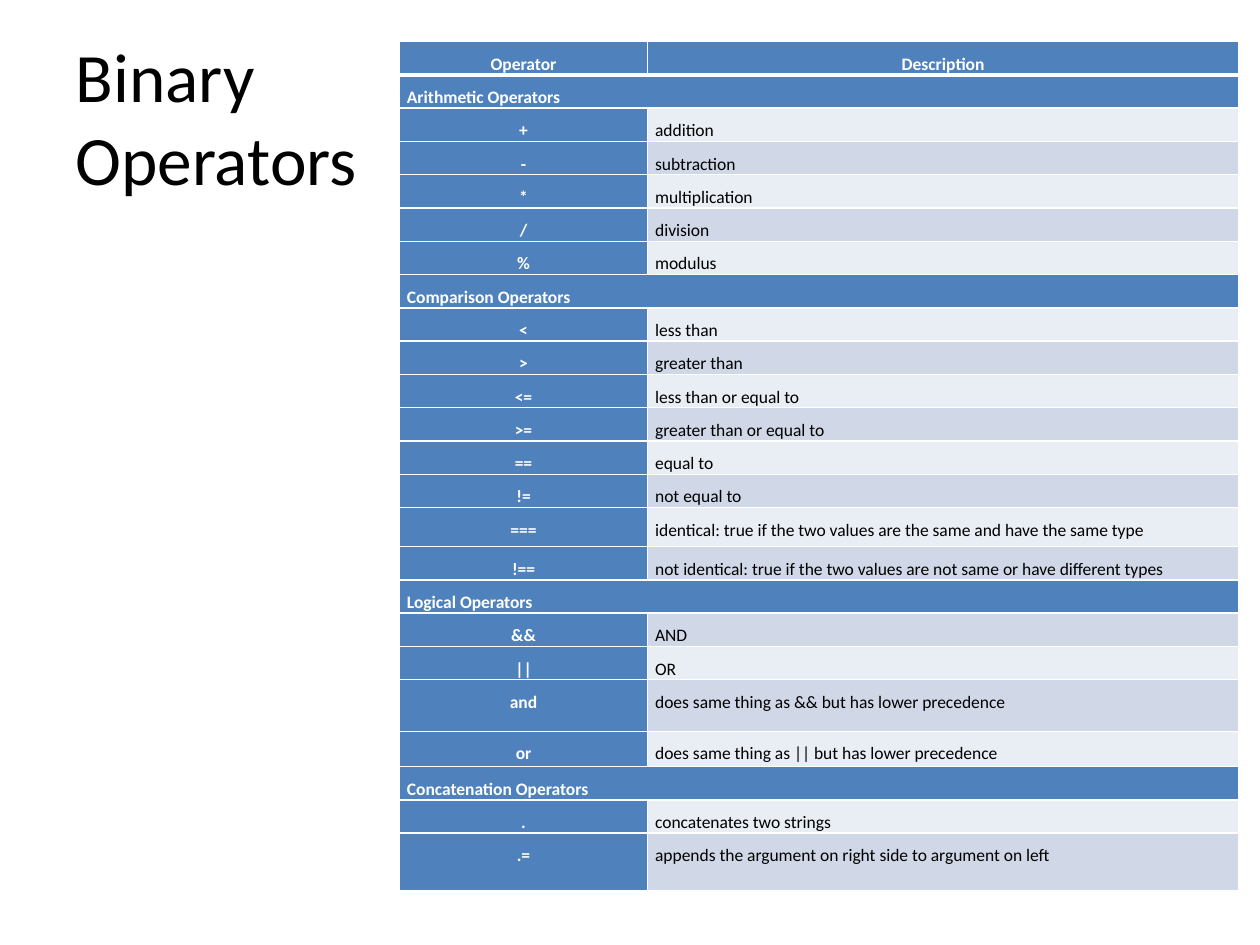
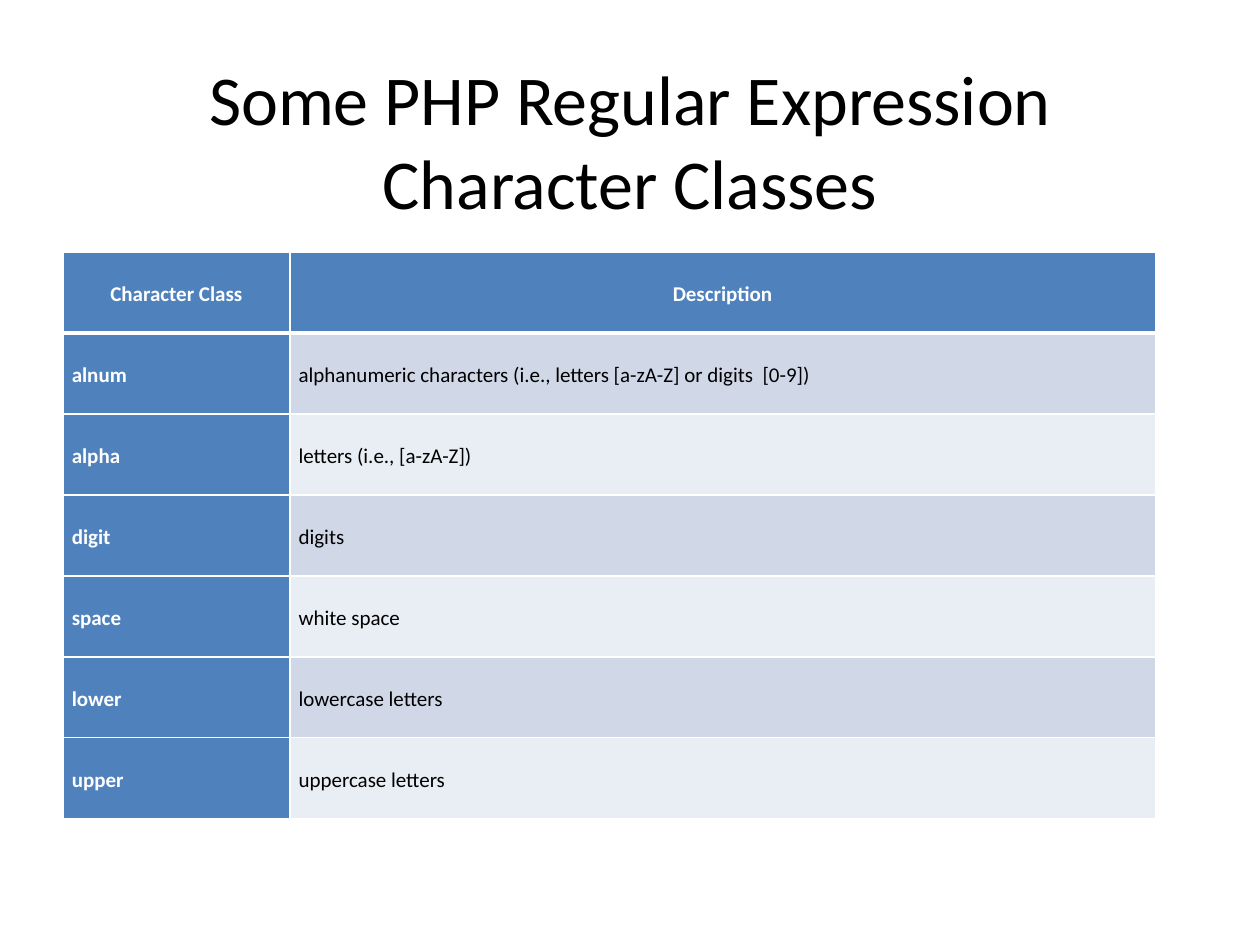
from lxml import etree
from pptx import Presentation
from pptx.dml.color import RGBColor
from pptx.enum import text as t
from pptx.oxml import ns
from pptx.util import Inches, Pt

# Shared look
FONT = "Calibri"
BLACK = RGBColor(0x00, 0x00, 0x00)
WHITE = RGBColor(0xFF, 0xFF, 0xFF)
BLUE = RGBColor(0x4F, 0x81, 0xBD)
BAND_LIGHT = RGBColor(0xE9, 0xED, 0xF4)
BAND_DARK = RGBColor(0xD0, 0xD8, 0xE8)
LEFT, CENTER = t.PP_ALIGN.LEFT, t.PP_ALIGN.CENTER
TOP, MIDDLE = t.MSO_ANCHOR.TOP, t.MSO_ANCHOR.MIDDLE
RULE, HEADER_RULE = Pt(1), Pt(3)

# Slide 1 content: section name and its (operator, description) rows
OPERATORS = {
    "Arithmetic Operators": [
        ("+", "addition"),
        ("-", "subtraction"),
        ("*", "multiplication"),
        ("/", "division"),
        ("%", "modulus"),
    ],
    "Comparison Operators": [
        ("<", "less than"),
        (">", "greater than"),
        ("<=", "less than or equal to"),
        (">=", "greater than or equal to"),
        ("==", "equal to"),
        ("!=", "not equal to"),
        ("===", "identical: true if the two values are the same and have the same type"),
        ("!==", "not identical: true if the two values are not same or have different types"),
    ],
    "Logical Operators": [
        ("&&", "AND"),
        ("||", "OR"),
        ("and", "does same thing as && but has lower precedence"),
        ("or", "does same thing as || but has lower precedence"),
    ],
    "Concatenation Operators": [
        (".", "concatenates two strings"),
        (".=", "appends the argument on right side to argument on left"),
    ],
}
OPERATOR_ROW = 0.23
TALL_OPERATOR_ROWS = {"===": 0.31, "!==": 0.26, "and": 0.41, "or": 0.28, ".=": 0.46}

# Slide 2 content
CHARACTER_CLASSES = [
    ("alnum", "alphanumeric characters (i.e., letters [a-zA-Z] or digits  [0-9])"),
    ("alpha", "letters (i.e., [a-zA-Z])"),
    ("digit", "digits"),
    ("space", "white space"),
    ("lower", "lowercase letters"),
    ("upper", "uppercase letters"),
]


def write(frame, words, size, color=BLACK, bold=False, align=LEFT,
          line_spacing=None, gap=None):
    """Fill a text frame with one formatted paragraph."""
    frame.text = ""
    paragraph = frame.paragraphs[0]
    paragraph.text = words
    paragraph.alignment = align
    if line_spacing is not None:
        paragraph.line_spacing = line_spacing
    if gap is not None:
        paragraph.space_before = paragraph.space_after = gap
    for run in paragraph.runs:
        run.font.name = FONT
        run.font.size = Pt(size)
        run.font.bold = bold
        run.font.color.rgb = color


def titled_slide(deck, words, box, size, align):
    slide = deck.slides.add_slide(deck.slide_layouts[5])
    title = slide.shapes.title
    title.left, title.top, title.width, title.height = map(Inches, box)
    frame = title.text_frame
    frame.word_wrap = True
    frame.auto_size = t.MSO_AUTO_SIZE.NONE
    frame.vertical_anchor = MIDDLE
    write(frame, words, size, align=align)
    return slide


def set_borders(cell, top, bottom):
    properties = cell._tc.get_or_add_tcPr()
    sides = {"a:lnL": RULE, "a:lnR": RULE, "a:lnT": top, "a:lnB": bottom}
    for position, (side, width) in enumerate(sides.items()):
        line = etree.Element(ns.qn(side), w=str(int(width)))
        fill = etree.SubElement(line, ns.qn("a:solidFill"))
        etree.SubElement(fill, ns.qn("a:srgbClr"), val=str(WHITE))
        properties.insert(position, line)


def banded_table(slide, box, column_widths, row_heights, rows, size,
                 key_align, anchor, inset, line_spacing):
    """Header row, blue key column and banded descriptions.

    A row with a single entry is a section heading across both columns.
    """
    table = slide.shapes.add_table(
        len(rows), len(column_widths), *map(Inches, box)).table
    for column, width in zip(table.columns, column_widths):
        column.width = Inches(width)
    for index, (entries, height) in enumerate(zip(rows, row_heights)):
        table.rows[index].height = Inches(height)
        is_header, is_section = index == 0, len(entries) == 1
        for column in range(len(column_widths)):
            cell = table.cell(index, column)
            is_blue = is_header or is_section or column == 0
            band = BAND_DARK if index % 2 else BAND_LIGHT
            cell.fill.solid()
            cell.fill.fore_color.rgb = BLUE if is_blue else band
            set_borders(cell,
                        top=HEADER_RULE if index == 1 else RULE,
                        bottom=HEADER_RULE if is_header else RULE)
            cell.margin_left = cell.margin_right = Inches(inset)
            cell.margin_top = cell.margin_bottom = 0
            cell.vertical_anchor = anchor
            if column < len(entries):
                align = LEFT
                if is_header:
                    align = CENTER
                elif column == 0 and not is_section:
                    align = key_align
                write(cell.text_frame, entries[column], size,
                      color=WHITE if is_blue else BLACK, bold=is_blue,
                      align=align, line_spacing=line_spacing, gap=Pt(3))
        if is_section:
            table.cell(index, 0).merge(table.cell(index, 1))


def operators_slide(deck):
    slide = titled_slide(deck, "Binary \vOperators", (0.5, 0.3, 3.08, 1.25), 39.6, LEFT)
    rows = [("Operator", "Description")]
    for section, operators in OPERATORS.items():
        rows += [(section,), *operators]
    heights = [TALL_OPERATOR_ROWS.get(row[0], OPERATOR_ROW) for row in rows]
    banded_table(slide, (3.17, 0.33, 6.66, sum(heights)), (1.97, 4.69), heights, rows,
                 size=10, key_align=CENTER, anchor=TOP, inset=0.06,
                 line_spacing=Pt(19))


def character_classes_slide(deck):
    slide = titled_slide(deck, "Some PHP Regular Expression Character Classes",
                         (0.5, 0.3, 9, 1.62), 40, CENTER)
    rows = [("Character Class", "Description"), *CHARACTER_CLASSES]
    height = 4.5
    banded_table(slide, (0.5, 2, 8.67, height), (1.8, 6.87),
                 [height / len(rows)] * len(rows), rows,
                 size=12, key_align=LEFT, anchor=MIDDLE, inset=0.07,
                 line_spacing=1.15)


def main():
    deck = Presentation()
    deck.slide_width, deck.slide_height = Inches(10), Inches(7.5)
    operators_slide(deck)
    character_classes_slide(deck)
    deck.save("out.pptx")


if __name__ == "__main__":
    main()
